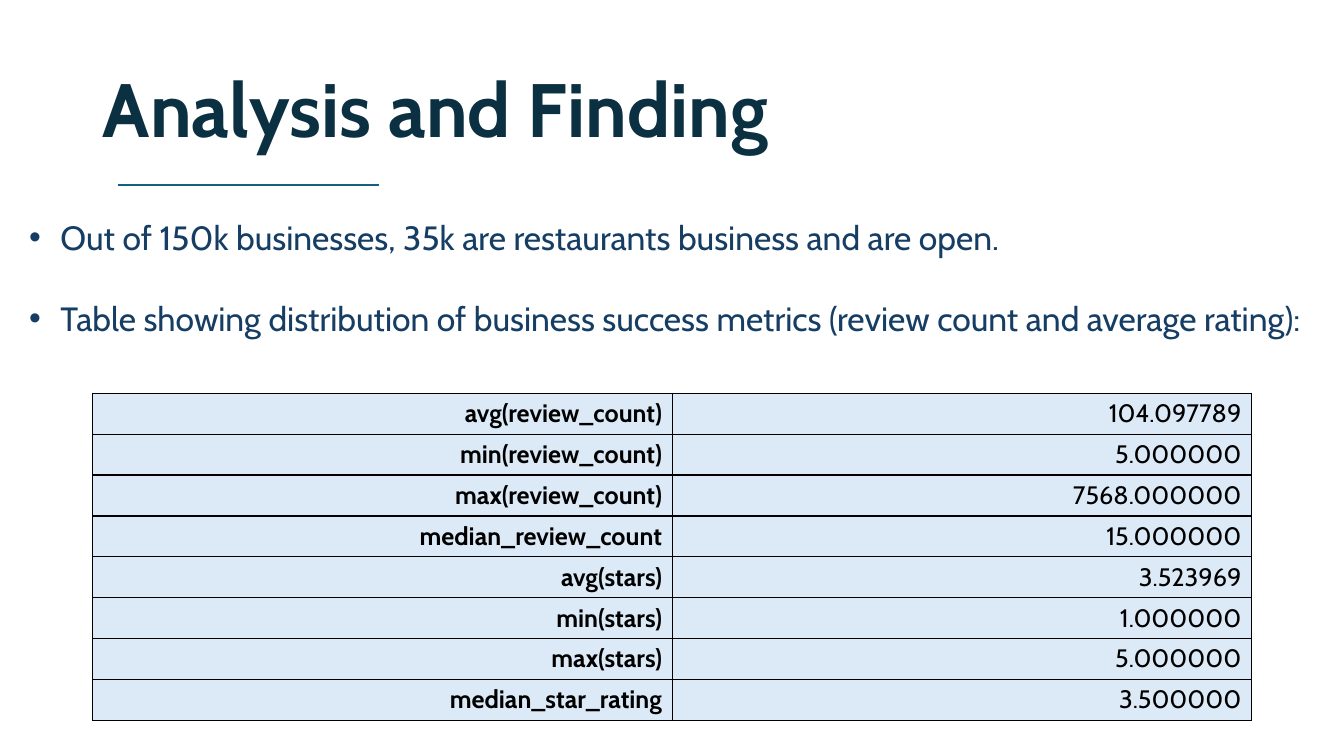
from dataclasses import dataclass

from lxml.etree import SubElement
from pptx import Presentation
from pptx.dml.color import RGBColor as Rgb
from pptx.enum.shapes import MSO_CONNECTOR as Link
from pptx.enum.text import MSO_ANCHOR as Anchor, MSO_AUTO_SIZE as Fit, PP_ALIGN as Align
from pptx.oxml.ns import qn
from pptx.util import Cm, Pt


@dataclass(frozen=True)
class Theme:
    font: str = "Cabin"
    title: str = "0B3041"
    body: str = "163E64"
    rule: str = "156082"
    cell: str = "DCEAF7"
    ink: str = "000000"
    head: int = 54
    list: int = 24
    grid: int = 18


@dataclass(frozen=True)
class Metric:
    name: str
    value: str


LOOK = Theme()
POINTS = [
    "Out of 150k businesses, 35k are restaurants business and are open.",
    "Table showing distribution of business success metrics (review count and average rating):",
]
METRICS = [
    Metric("avg(review_count)", "104.097789"),
    Metric("min(review_count)", "5.000000"),
    Metric("max(review_count)", "7568.000000"),
    Metric("median_review_count", "15.000000"),
    Metric("avg(stars)", "3.523969"),
    Metric("min(stars)", "1.000000"),
    Metric("max(stars)", "5.000000"),
    Metric("median_star_rating", "3.500000"),
]


def write(par, text: str, *, size: int, color: str, bold: bool = False,
          align=Align.LEFT, lines: float = 1.0, after: int = 0) -> None:
    par.alignment, par.line_spacing = align, lines
    par.space_before, par.space_after = Pt(0), Pt(after)
    run = par.add_run()
    run.text = text
    font = run.font
    font.name, font.size, font.bold = LOOK.font, Pt(size), bold
    font.color.rgb = Rgb.from_string(color)


def place(shape, left: float, top: float, width: float, height: float) -> None:
    shape.left, shape.top = Cm(left), Cm(top)
    shape.width, shape.height = Cm(width), Cm(height)


def indent(par, hang: float) -> None:
    props = par._p.get_or_add_pPr()
    props.set("marL", str(Cm(hang)))
    props.set("indent", str(-Cm(hang)))
    SubElement(props, qn("a:buChar"), char="•")


def border(cell) -> None:
    props = cell._tc.get_or_add_tcPr()
    for side in "LRTB":
        line = SubElement(props, qn(f"a:ln{side}"), w=str(Pt(1)))
        fill = SubElement(line, qn("a:solidFill"))
        SubElement(fill, qn("a:srgbClr"), val=LOOK.ink)


def add_rule(slide) -> None:
    rule = slide.shapes.add_connector(Link.STRAIGHT, Cm(9.55), Cm(4.67), Cm(2.97), Cm(4.67))
    rule.line.color.rgb = Rgb.from_string(LOOK.rule)
    rule.line.width = Pt(1.5)
    SubElement(rule._element.spPr, qn("a:effectLst"))


def add_grid(slide, rows: list[Metric]) -> None:
    frame = slide.shapes.add_table(len(rows), 2, Cm(2.34), Cm(9.91), Cm(29.2), Cm(8.13))
    table = frame.table
    table.first_row = table.horz_banding = False
    for r, row in enumerate(rows):
        for c, text in enumerate((row.name, row.value)):
            cell = table.cell(r, c)
            border(cell)
            cell.fill.solid()
            cell.fill.fore_color.rgb = Rgb.from_string(LOOK.cell)
            cell.vertical_anchor = Anchor.MIDDLE
            write(cell.text_frame.paragraphs[0], text, size=LOOK.grid,
                  color=LOOK.ink, bold=c == 0, align=Align.RIGHT)


def main() -> None:
    deck = Presentation()
    deck.slide_width, deck.slide_height = Cm(33.87), Cm(19.05)
    slide = deck.slides.add_slide(deck.slide_layouts[1])

    # Title
    title = slide.shapes.title
    place(title, 2.34, 1.02, 29.2, 3.68)
    title.text_frame.vertical_anchor = Anchor.MIDDLE
    title.text_frame.auto_size = Fit.NONE
    write(title.text_frame.paragraphs[0], "Analysis and Finding", size=LOOK.head,
          color=LOOK.title, bold=True, lines=0.9)

    # Bullet list
    body = slide.placeholders[1]
    place(body, 0.48, 5.33, 32.92, 4.37)
    frame = body.text_frame
    frame.vertical_anchor, frame.auto_size = Anchor.TOP, Fit.NONE
    for i, text in enumerate(POINTS):
        par = frame.add_paragraph() if i else frame.paragraphs[0]
        write(par, text, size=LOOK.list, color=LOOK.body, after=29)
        indent(par, 0.79)

    # Rule and table
    add_rule(slide)
    add_grid(slide, METRICS)

    deck.save("out.pptx")


if __name__ == "__main__":
    main()
